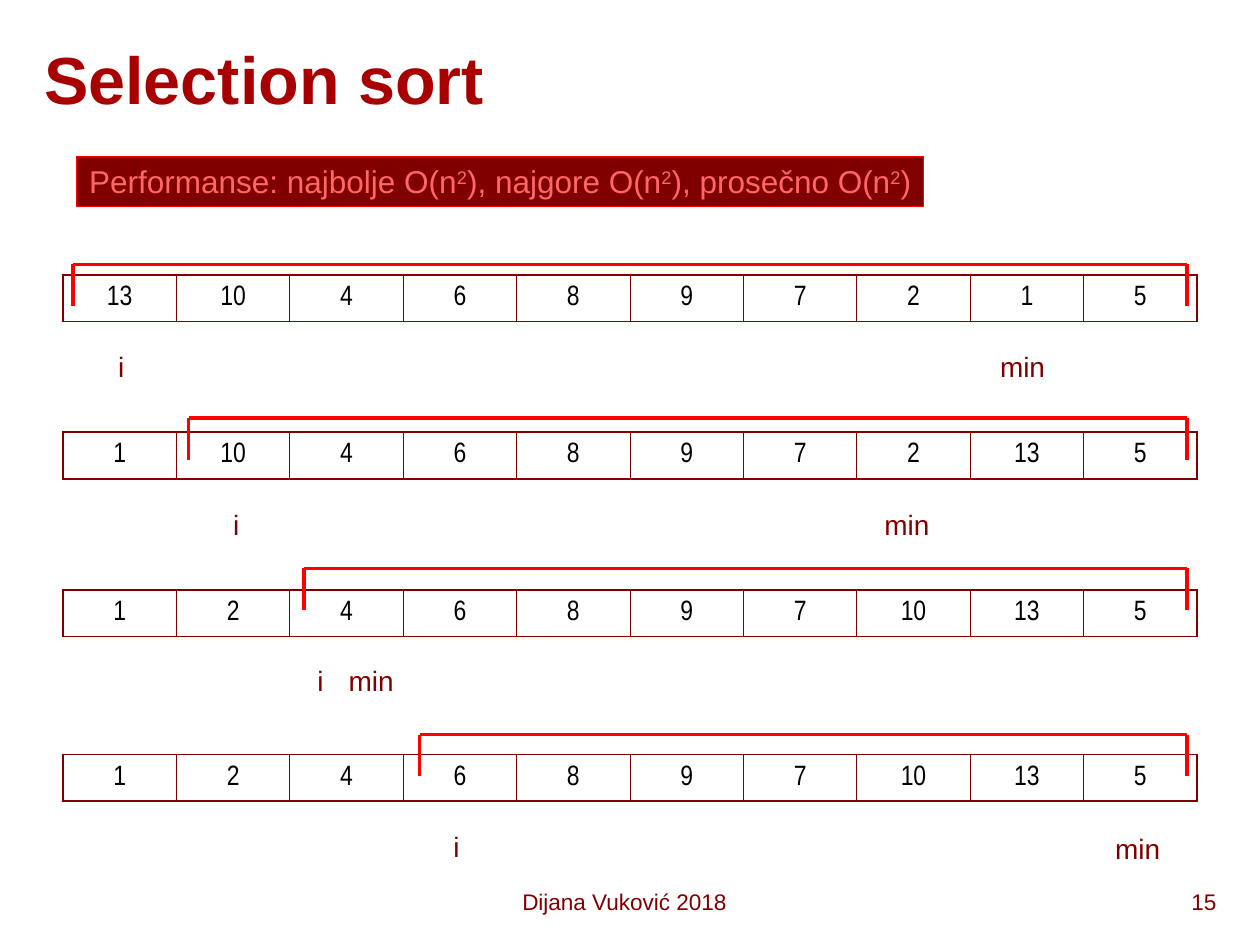
import pptx
import pptx.dml.color
import pptx.enum.shapes
import pptx.enum.text
import pptx.oxml
import pptx.oxml.ns
import pptx.util
from dataclasses import dataclass

Cm = pptx.util.Cm
Pt = pptx.util.Pt
ALIGN = pptx.enum.text.PP_ALIGN
ANCHOR = pptx.enum.text.MSO_ANCHOR


@dataclass(frozen=True)
class Theme:
    maroon: str = "800000"
    heading: str = "A80000"
    red: str = "FF0000"
    pink: str = "FF6767"
    black: str = "000000"
    font: str = "Arial"
    cell_font: str = "Arial Narrow"
    title_size: float = 38
    note_size: float = 18
    body_size: float = 16
    footer_size: float = 12.9
    outer_border: float = 1.08
    inner_border: float = 0.45


THEME = Theme()
LEFT, COLUMN_WIDTH, ROW_HEIGHT = 1.27, 2.286, 0.94
BRACKET_LEFT, BRACKET_STEP = 1.47, 2.33
BRACKET_RIGHT, BRACKET_DEPTH = 23.93, 0.84

# Each pass: values, table top, bracket top, (left, top) of i and of min
PASSES = [
    ([13, 10, 4, 6, 8, 9, 7, 2, 1, 5], 5.54, 5.33, (2.13, 6.93), (19.91, 6.93)),
    ([1, 10, 4, 6, 8, 9, 7, 2, 13, 5], 8.71, 8.43, (4.45, 10.11), (17.58, 10.11)),
    ([1, 2, 4, 6, 8, 9, 7, 10, 13, 5], 11.89, 11.46, (6.15, 13.26), (6.78, 13.26)),
    ([1, 2, 4, 6, 8, 9, 7, 10, 13, 5], 15.21, 14.81, (8.89, 16.59), (22.23, 16.64)),
]


def rgb(value):
    return pptx.dml.color.RGBColor.from_string(value)


def write(frame, text, size=THEME.body_size, color=THEME.maroon, font=THEME.font,
          bold=False, align=ALIGN.LEFT, anchor=ANCHOR.TOP, wrap=True):
    """Fill a text frame; the character after each ^ is superscript."""
    frame.word_wrap = wrap
    if not wrap:
        frame.auto_size = pptx.enum.text.MSO_AUTO_SIZE.SHAPE_TO_FIT_TEXT
    frame.vertical_anchor = anchor
    paragraph = frame.paragraphs[0]
    paragraph.alignment = align
    first, *raised = text.split("^")
    pieces = [(first, False)]
    for part in raised:
        pieces += [(part[0], True), (part[1:], False)]
    for content, superscript in pieces:
        run = paragraph.add_run()
        run.text = content
        run.font.name = font
        run.font.size = Pt(size)
        run.font.bold = bold
        run.font.color.rgb = rgb(color)
        if superscript:
            run.font._element.set("baseline", "30000")


def add_label(slide, text, left, top, width, height, **text_format):
    label = slide.shapes.add_textbox(Cm(left), Cm(top), Cm(width), Cm(height))
    write(label.text_frame, text, **text_format)


def add_border(cell, side, width):
    cell._tc.get_or_add_tcPr().append(pptx.oxml.parse_xml(
        f'<a:{side} {pptx.oxml.ns.nsdecls("a")} w="{Pt(width)}"><a:solidFill>'
        f'<a:srgbClr val="{THEME.maroon}"/></a:solidFill></a:{side}>'))


def add_array(slide, values, top):
    last = len(values) - 1
    array = slide.shapes.add_table(1, len(values), Cm(LEFT), Cm(top),
                                   Cm(COLUMN_WIDTH * len(values)), Cm(ROW_HEIGHT)).table
    array.first_row = array.horz_banding = False
    for index, value in enumerate(values):
        array.columns[index].width = Cm(COLUMN_WIDTH)
        cell = array.cell(0, index)
        write(cell.text_frame, str(value), font=THEME.cell_font, color=THEME.black,
              align=ALIGN.CENTER)
        cell.vertical_anchor = ANCHOR.MIDDLE
        outer, inner = THEME.outer_border, THEME.inner_border
        add_border(cell, "lnL", outer if index == 0 else inner)
        add_border(cell, "lnR", outer if index == last else inner)
        add_border(cell, "lnT", outer)
        add_border(cell, "lnB", outer)
        cell.fill.background()


def add_bracket(slide, left, top):
    """Span the part of the array that is still unsorted."""
    bracket = slide.shapes.add_group_shape()
    right, bottom = BRACKET_RIGHT, top + BRACKET_DEPTH
    for ends in [(right, bottom, right, top), (right, top, left, top),
                 (left, bottom, left, top)]:
        edge = bracket.shapes.add_connector(pptx.enum.shapes.MSO_CONNECTOR.STRAIGHT,
                                            *map(Cm, ends))
        edge.line.color.rgb = rgb(THEME.red)
        edge.line.width = Pt(2)
        edge._element.spPr.append(
            pptx.oxml.parse_xml(f'<a:effectLst {pptx.oxml.ns.nsdecls("a")}/>'))


def add_performance(slide):
    banner = slide.shapes.add_shape(pptx.enum.shapes.MSO_SHAPE.RECTANGLE,
                                    Cm(1.55), Cm(3.15), Cm(17.07), Cm(1.02))
    banner.shadow.inherit = False
    banner.fill.solid()
    banner.fill.fore_color.rgb = rgb(THEME.maroon)
    banner.line.color.rgb = rgb(THEME.red)
    banner.line.width = Pt(0.75)
    write(banner.text_frame, "Performanse: najbolje O(n^2), najgore O(n^2), prosečno O(n^2)",
          size=THEME.note_size, color=THEME.pink, wrap=False)


def main():
    presentation = pptx.Presentation()
    presentation.slide_width, presentation.slide_height = Cm(25.4), Cm(19.05)
    slide = presentation.slides.add_slide(presentation.slide_layouts[6])

    # Footer and title
    add_label(slide, "Dijana Vuković 2018", 9.5, 17.78, 6.17, 0.84,
              size=THEME.footer_size, align=ALIGN.CENTER)
    add_label(slide, "15", 19.69, 17.78, 5.08, 0.84,
              size=THEME.footer_size, align=ALIGN.RIGHT)
    add_label(slide, "Selection sort", 0.64, 0.2, 24.13, 2.74, size=THEME.title_size,
              color=THEME.heading, bold=True, anchor=ANCHOR.MIDDLE)

    # Sorting passes
    for step, (values, top, bracket_top, current, smallest) in enumerate(PASSES):
        add_array(slide, values, top)
        add_label(slide, "i", *current, 0.64, 0.94, wrap=False)
        add_bracket(slide, BRACKET_LEFT + BRACKET_STEP * step, bracket_top)
        add_label(slide, "min", *smallest, 1.42, 0.94, wrap=False)

    # Complexity
    add_performance(slide)

    presentation.save("out.pptx")


if __name__ == "__main__":
    main()
